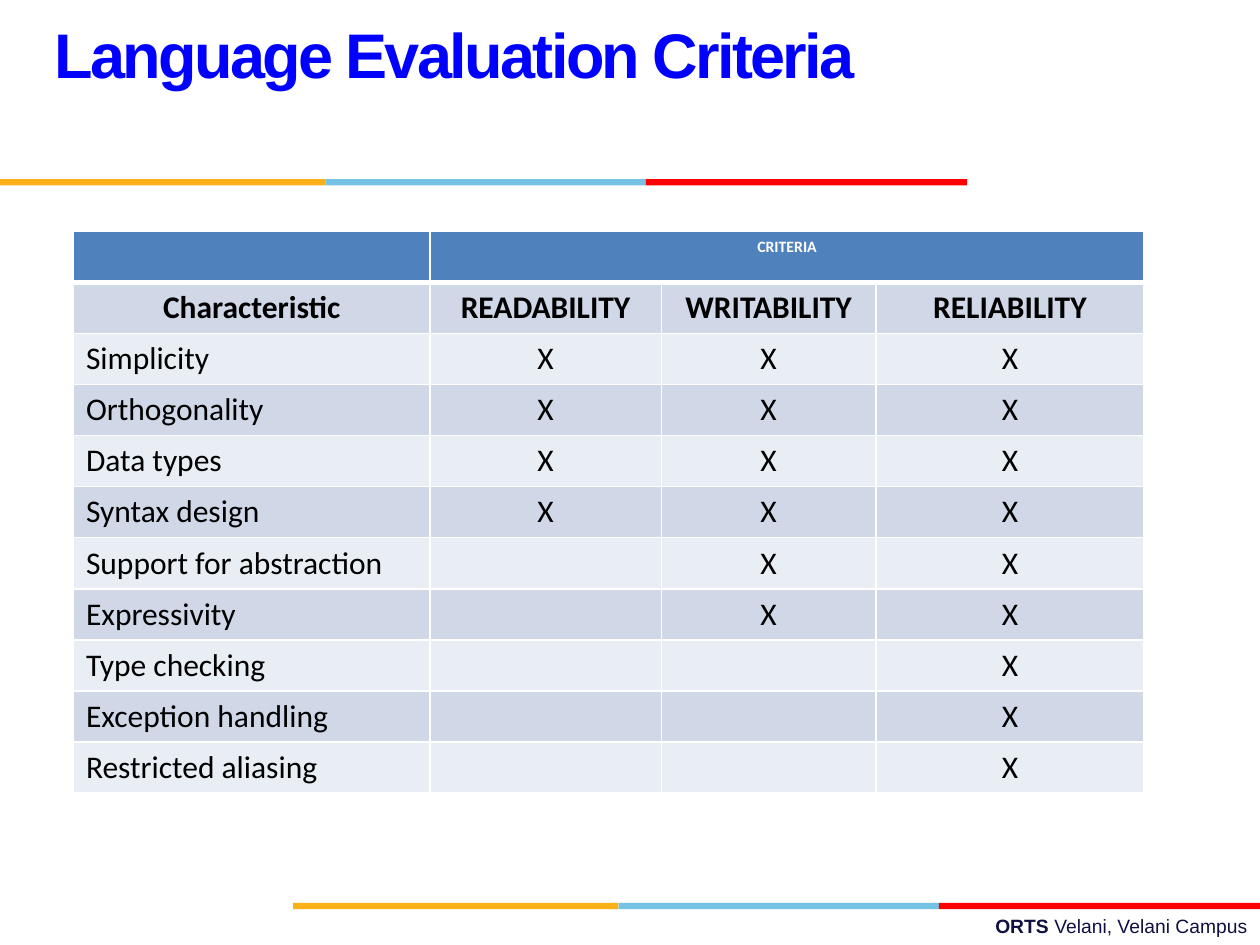
from lxml import etree
from pptx import Presentation
from pptx.dml.color import RGBColor
from pptx.enum.shapes import MSO_SHAPE
from pptx.enum.text import MSO_ANCHOR, MSO_AUTO_SIZE, PP_ALIGN
from pptx.oxml.ns import qn
from pptx.util import Cm, Pt

RECT = MSO_SHAPE.RECTANGLE
TOP = MSO_ANCHOR.TOP
NO_FIT = MSO_AUTO_SIZE.NONE
LEFT, CENTER, RIGHT = PP_ALIGN.LEFT, PP_ALIGN.CENTER, PP_ALIGN.RIGHT

TITLE = "Language Evaluation Criteria"
FOOTER = [("ORTS ", True), ("Velani, Velani Campus", False)]
CRITERIA = ["READABILITY", "WRITABILITY", "RELIABILITY"]
CHARACTERISTICS = [
    ("Simplicity", "XXX"),
    ("Orthogonality", "XXX"),
    ("Data types", "XXX"),
    ("Syntax design", "XXX"),
    ("Support for abstraction", " XX"),
    ("Expressivity", " XX"),
    ("Type checking", "  X"),
    ("Exception handling", "  X"),
    ("Restricted aliasing", "  X"),
]
COLORS = {
    "title": "0000FF", "footer": "101141", "header": "4F81BD",
    "dark": "D0D8E8", "light": "E9EDF4", "white": "FFFFFF", "black": "000000",
    "orange": "FCB017", "blue": "76C2E5", "red": "FF0000",
}
STRIPES = [("orange", 6.56), ("blue", 6.46), ("red", 6.48)]
STRIPE_STARTS = [(0, 3.61), (5.91, 18.2)]
COL_WIDTHS = [7.19, 4.66, 4.33, 5.4]
ROW_HEIGHT = 1.03


def rgb(name):
    return RGBColor.from_string(COLORS[name])


def add_run(p, text, color, **font):
    r = p.add_run()
    r.text = text
    r.font.color.rgb = rgb(color)
    for name, value in font.items():
        setattr(r.font, name, value)
    return r


def add_borders(cell, bottom):
    tcPr = cell._tc.get_or_add_tcPr()
    for side, width in (("L", 1), ("R", 1), ("T", 1), ("B", bottom)):
        ln = etree.SubElement(tcPr, qn("a:ln" + side), w=str(Pt(width)))
        fill = etree.SubElement(ln, qn("a:solidFill"))
        etree.SubElement(fill, qn("a:srgbClr"), val=COLORS["white"])


prs = Presentation()
prs.slide_width, prs.slide_height = Cm(25.4), Cm(19.05)
s = prs.slides.add_slide(prs.slide_layouts[5])

for x, y in STRIPE_STARTS:
    for color, width in STRIPES:
        sp = s.shapes.add_shape(RECT, Cm(x), Cm(y), Cm(width), Cm(0.13))
        sp.shadow.inherit = False
        sp.fill.solid()
        sp.fill.fore_color.rgb = rgb(color)
        sp.line.fill.background()
        x += width

footer = s.shapes.add_textbox(Cm(9.1), Cm(18.31), Cm(16.3), Cm(0.73))
footer.text_frame.word_wrap = True
p = footer.text_frame.paragraphs[0]
p.alignment = RIGHT
for text, bold in FOOTER:
    add_run(p, text, "footer", name="Arial", size=Pt(11), bold=bold)

title = s.shapes.title
title.left, title.top, title.width, title.height = Cm(0.84), Cm(0.43), Cm(17.58), Cm(3.18)
tf = title.text_frame
tf.word_wrap, tf.auto_size, tf.vertical_anchor = True, NO_FIT, TOP
p = tf.paragraphs[0]
p.alignment, p.line_spacing = LEFT, Pt(36)
r = add_run(p, TITLE, "title", name="Arial", size=Pt(36), bold=True)
r.font._element.set("spc", "-150")

rows = [["", "CRITERIA", "", ""], ["Characteristic"] + CRITERIA]
rows += [[name] + [mark.strip() for mark in marks] for name, marks in CHARACTERISTICS]
table = s.shapes.add_table(len(rows), len(COL_WIDTHS), Cm(1.48), Cm(4.66),
                           Cm(sum(COL_WIDTHS)), Cm(ROW_HEIGHT * len(rows))).table
for column, width in zip(table.columns, COL_WIDTHS):
    column.width = Cm(width)
for i, texts in enumerate(rows):
    table.rows[i].height = Cm(ROW_HEIGHT)
    fill = "header" if i == 0 else "dark" if i % 2 else "light"
    for j, text in enumerate(texts):
        cell = table.cell(i, j)
        add_borders(cell, 1 if i else 3)
        cell.fill.solid()
        cell.fill.fore_color.rgb = rgb(fill)
        p = cell.text_frame.paragraphs[0]
        p.alignment = LEFT if j == 0 and i > 1 else CENTER
        if text:
            add_run(p, text, "black" if i else "white", name="Calibri",
                    size=Pt(18 if i else 9), bold=i < 2)
table.cell(0, 1).merge(table.cell(0, 3))

prs.save("out.pptx")
